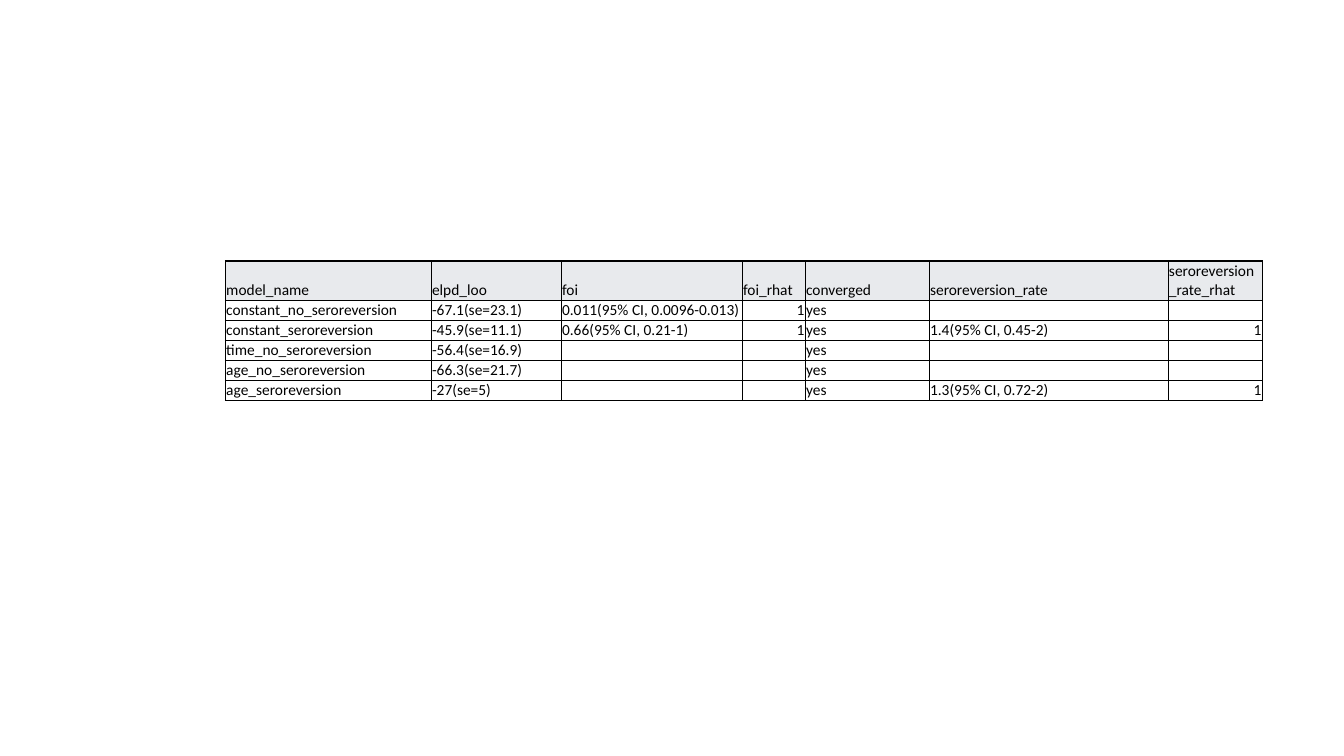
from lxml import etree
from pptx import Presentation
from pptx.dml.color import RGBColor
from pptx.enum.text import MSO_ANCHOR, PP_ALIGN
from pptx.oxml.ns import qn
from pptx.util import Pt

BOTTOM, RIGHT, LEFT = MSO_ANCHOR.BOTTOM, PP_ALIGN.RIGHT, PP_ALIGN.LEFT

# Content
HEAD = ("model_name", "elpd_loo", "foi", "foi_rhat", "converged",
        "seroreversion_rate", "seroreversion_rate_rhat")
MODELS = [
    ("constant_no_seroreversion", "-67.1(se=23.1)",
     "0.011(95% CI, 0.0096-0.013)", "1", "yes", "", ""),
    ("constant_seroreversion", "-45.9(se=11.1)",
     "0.66(95% CI, 0.21-1)", "1", "yes", "1.4(95% CI, 0.45-2)", "1"),
    ("time_no_seroreversion", "-56.4(se=16.9)", "", "", "yes", "", ""),
    ("age_no_seroreversion", "-66.3(se=21.7)", "", "", "yes", "", ""),
    ("age_seroreversion", "-27(se=5)", "", "", "yes",
     "1.3(95% CI, 0.72-2)", "1"),
]

# Style and sizes in points
COLORS = {"head": "E8EAED", "body": "FFFFFF", "ink": "000000"}
FONT, SIZE = "Calibri", 11
WIDTHS = (147, 92.9, 129.3, 45, 88.6, 170.7, 67.2)
HEAD_H, ROW_H = 27.9, 14.3
X, Y, INSET = 161, 186.5, 0.6


def add_edges(cell):
    """Draw a thin line on all four sides of a cell."""
    props = cell._tc.get_or_add_tcPr()
    for i, side in enumerate(("a:lnL", "a:lnR", "a:lnT", "a:lnB")):
        line = etree.Element(qn(side), w=str(Pt(1)))
        fill = etree.SubElement(line, qn("a:solidFill"))
        etree.SubElement(fill, qn("a:srgbClr"), val=COLORS["ink"])
        props.insert(i, line)


def fill_cell(cell, text, shade):
    cell.margin_left = cell.margin_right = cell.margin_top = Pt(INSET)
    cell.margin_bottom = 0
    cell.vertical_anchor = BOTTOM
    cell.fill.solid()
    cell.fill.fore_color.rgb = RGBColor.from_string(COLORS[shade])
    add_edges(cell)
    cell.text = text
    para = cell.text_frame.paragraphs[0]
    para.alignment = RIGHT if text.isdigit() else LEFT
    para.font.name, para.font.size = FONT, Pt(SIZE)
    para.font.color.rgb = RGBColor.from_string(COLORS["ink"])
    # Keeps rows with empty cells low
    etree.SubElement(para._p, qn("a:endParaRPr"), sz=str(SIZE * 100))


def main():
    prs = Presentation()
    prs.slide_width, prs.slide_height = Pt(960), Pt(540)
    slide = prs.slides.add_slide(prs.slide_layouts[6])

    # Model comparison table
    rows = [HEAD] + MODELS
    heights = [HEAD_H] + [ROW_H] * len(MODELS)
    table = slide.shapes.add_table(
        len(rows), len(HEAD), Pt(X), Pt(Y),
        Pt(sum(WIDTHS)), Pt(sum(heights))).table
    for col, width in zip(table.columns, WIDTHS):
        col.width = Pt(width)
    for r, (row, height) in enumerate(zip(rows, heights)):
        table.rows[r].height = Pt(height)
        for c, text in enumerate(row):
            fill_cell(table.cell(r, c), text, "body" if r else "head")

    prs.save("out.pptx")


if __name__ == "__main__":
    main()
